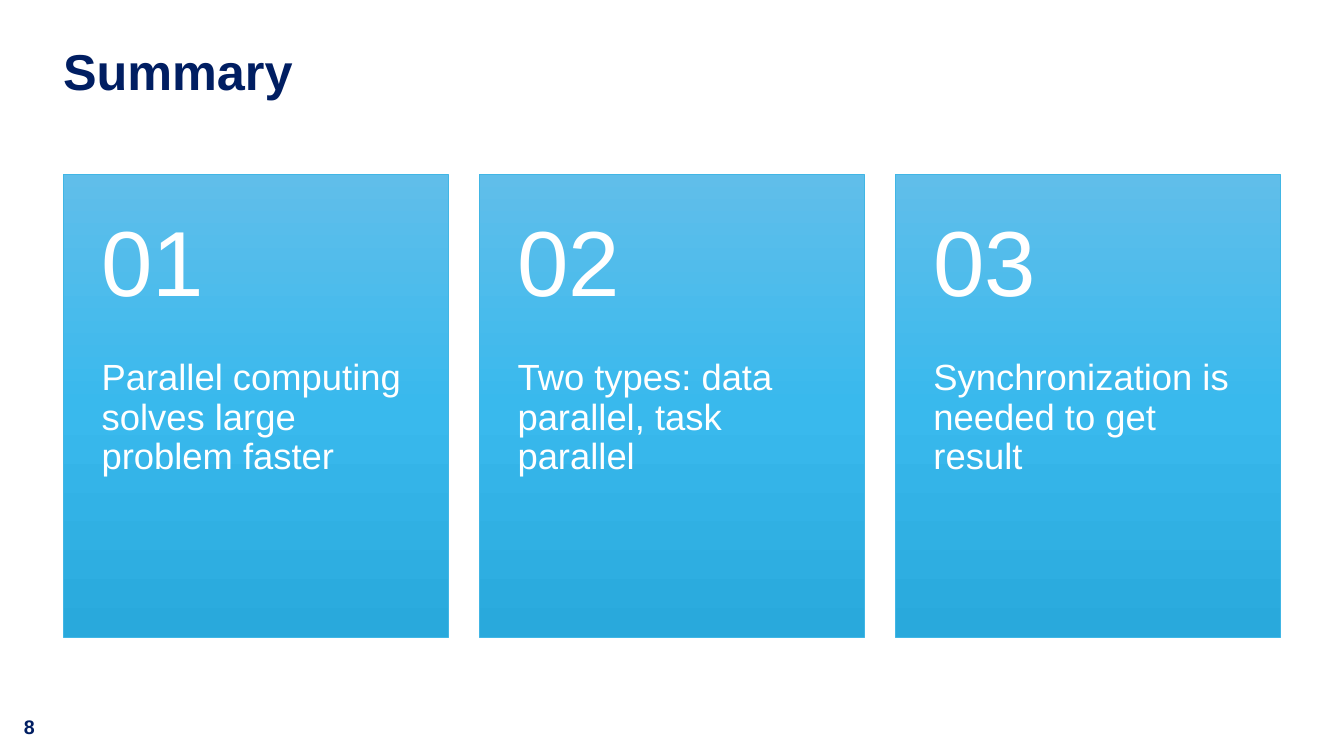
"""Build the summary slide with three numbered takeaway cards."""
from copy import deepcopy
from dataclasses import dataclass

from pptx import Presentation
from pptx.dml.color import RGBColor
from pptx.enum.shapes import MSO_SHAPE as Preset
from pptx.enum.text import MSO_ANCHOR as Anchor, PP_ALIGN as Align
from pptx.oxml.ns import qn
from pptx.shapes.autoshape import Shape
from pptx.slide import Slide
from pptx.util import Pt

FONT = "Arial"
NAVY = RGBColor(0x00, 0x1E, 0x62)
WHITE = RGBColor(0xFF, 0xFF, 0xFF)
CARD_LINE = RGBColor(0x41, 0xB6, 0xE5)
CARD_GRADIENT = (
    (0, RGBColor(0x60, 0xBE, 0xEA)),
    (0.5, RGBColor(0x39, 0xB9, 0xED)),
    (1, RGBColor(0x29, 0xA9, 0xDC)),
)

CARD_LEFT, CARD_TOP = 45.36, 124.6
CARD_WIDTH, CARD_HEIGHT = 275, 330.5
CARD_PITCH = 297.1
NUMBER_HEIGHT = 132.2
CARD_PADDING = 27.2


@dataclass(frozen=True)
class Box:
    left: float
    top: float
    width: float
    height: float


@dataclass(frozen=True)
class Card:
    number: str
    message: str


CARDS = (
    Card("01", "Parallel computing solves large problem faster"),
    Card("02", "Two types: data parallel, task parallel"),
    Card("03", "Synchronization is needed to get result"),
)


def place(shape: Shape, box: Box) -> None:
    shape.left, shape.top = Pt(box.left), Pt(box.top)
    shape.width, shape.height = Pt(box.width), Pt(box.height)


def write_text(shape: Shape, text: str, *, size: float, color: RGBColor,
               bold: bool = False, anchor: Anchor = Anchor.TOP,
               margins: tuple[float, float, float, float] = (0, 0, 0, 0),
               line_spacing: float = 0.9) -> None:
    frame = shape.text_frame
    frame.word_wrap = True
    frame.vertical_anchor = anchor
    (frame.margin_left, frame.margin_top,
     frame.margin_right, frame.margin_bottom) = map(Pt, margins)
    paragraph = frame.paragraphs[0]
    paragraph.alignment = Align.LEFT
    paragraph.line_spacing = line_spacing
    run = paragraph.add_run()
    run.text = text
    run.font.name = FONT
    run.font.size = Pt(size)
    run.font.bold = bold
    run.font.color.rgb = color


def add_text(slide: Slide, box: Box, text: str, **text_format) -> None:
    shape = slide.shapes.add_textbox(0, 0, 0, 0)
    place(shape, box)
    write_text(shape, text, **text_format)


def add_card_background(slide: Slide, box: Box) -> None:
    shape = slide.shapes.add_shape(Preset.RECTANGLE, 0, 0, 0, 0)
    place(shape, box)
    shape.shadow.inherit = False
    shape.line.color.rgb = CARD_LINE
    shape.line.width = Pt(0.5)
    shape.fill.gradient()
    shape.fill.gradient_angle = 270
    stop_list = next(shape.element.iter(qn("a:gsLst")))
    stop_list.append(deepcopy(stop_list[-1]))
    for stop, (position, color) in zip(shape.fill.gradient_stops, CARD_GRADIENT):
        stop.position = position
        stop.color.rgb = color


def add_card(slide: Slide, card: Card, left: float) -> None:
    add_card_background(slide, Box(left, CARD_TOP, CARD_WIDTH, CARD_HEIGHT))
    add_text(slide, Box(left, CARD_TOP + NUMBER_HEIGHT, CARD_WIDTH,
                        CARD_HEIGHT - NUMBER_HEIGHT),
             card.message, size=26, color=WHITE,
             margins=(CARD_PADDING, 0, CARD_PADDING, 26))
    add_text(slide, Box(left, CARD_TOP, CARD_WIDTH, NUMBER_HEIGHT),
             card.number, size=66, color=WHITE, anchor=Anchor.MIDDLE,
             margins=(CARD_PADDING, 13, CARD_PADDING, 13))


def main() -> None:
    presentation = Presentation()
    presentation.slide_width, presentation.slide_height = Pt(960), Pt(540)
    slide = presentation.slides.add_slide(presentation.slide_layouts[5])

    title = slide.shapes.title
    place(title, Box(45, 33.8, 870, 64))
    write_text(title, "Summary", size=36, color=NAVY, bold=True)

    for index, card in enumerate(CARDS):
        add_card(slide, card, CARD_LEFT + index * CARD_PITCH)

    add_text(slide, Box(10, 507, 47.5, 24.5), "8", size=14, color=NAVY,
             bold=True, margins=(7.2, 3.6, 7.2, 3.6), line_spacing=1.0)
    presentation.save("out.pptx")


if __name__ == "__main__":
    main()
